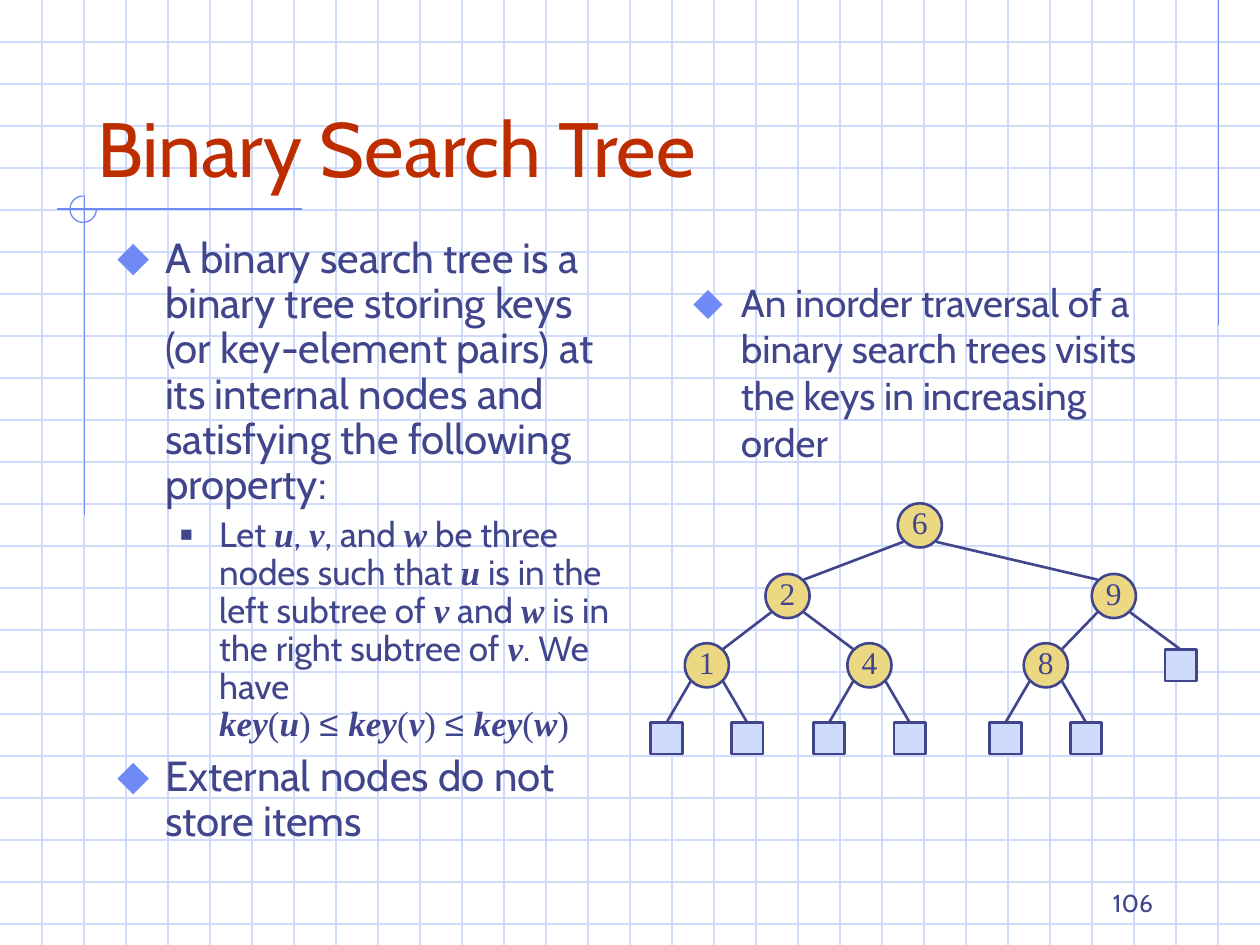
import pptx
import pptx.dml.color
import pptx.enum.shapes
import pptx.enum.text
import pptx.util
import lxml.etree
from pptx.util import Inches

HUES = {"grid": "CFDBFD", "rule": "6F89F7", "title": "BE2D00",
        "ink": "40458C", "node": "ECD882", "leaf": "CFDBFD"}
FACES = {"text": ("Cabin", False), "math": ("Times New Roman", True),
         "sign": ("Times New Roman", False), "less": ("Arial", False)}
LEVELS = [
    {"left": 0.38, "hang": 0.38, "mark": "⬥", "hue": "rule", "part": 110, "gap": 6},
    {"left": 0.81, "hang": 0.31, "mark": "■", "hue": "ink", "part": 60, "gap": 5},
]
SHAPE = pptx.enum.shapes.MSO_SHAPE
ANCHOR = pptx.enum.text.MSO_ANCHOR
ALIGN = pptx.enum.text.PP_ALIGN


class Deck:
    def __init__(self):
        self.file = pptx.Presentation()
        self.file.slide_width = Inches(10)
        self.file.slide_height = Inches(7.5)
        self.slide = self.file.slides.add_slide(self.file.slide_layouts[3])

    def hue(self, name):
        return pptx.dml.color.RGBColor.from_string(HUES[name])

    def line(self, x1, y1, x2, y2, hue, width=0.75):
        kind = pptx.enum.shapes.MSO_CONNECTOR.STRAIGHT
        line = self.slide.shapes.add_connector(
            kind, Inches(x1), Inches(y1), Inches(x2), Inches(y2))
        line.line.color.rgb = self.hue(hue)
        line.line.width = pptx.util.Pt(width)
        props = line._element.spPr
        lxml.etree.SubElement(props, pptx.oxml.ns.qn("a:effectLst"))
        return line

    def shape(self, kind, x, y, size, fill, edge, width):
        shape = self.slide.shapes.add_shape(
            kind, Inches(x - size / 2), Inches(y - size / 2), Inches(size), Inches(size))
        shape.shadow.inherit = False
        if fill:
            shape.fill.solid()
            shape.fill.fore_color.rgb = self.hue(fill)
        else:
            shape.fill.background()
        shape.line.color.rgb = self.hue(edge)
        shape.line.width = pptx.util.Pt(width)
        return shape

    def run(self, para, text, size, hue="ink", face="text"):
        run = para.add_run()
        run.text = text
        font = run.font
        font.name, strong = FACES[face]
        font.bold = font.italic = strong
        font.size = pptx.util.Pt(size)
        font.color.rgb = self.hue(hue)

    def place(self, index, x, y, wide, high):
        box = self.slide.placeholders[index]
        box.left, box.top = Inches(x), Inches(y)
        box.width, box.height = Inches(wide), Inches(high)
        box.text_frame.auto_size = pptx.enum.text.MSO_AUTO_SIZE.NONE
        box.element.getparent().append(box.element)
        return box.text_frame

    def title(self, text):
        frame = self.place(0, 0.67, 0.33, 8.5, 1.25)
        frame.vertical_anchor = ANCHOR.BOTTOM
        para = frame.paragraphs[0]
        para.alignment = ALIGN.LEFT
        self.run(para, text, 44, "title")

    def bullet(self, para, level):
        look = LEVELS[level]
        para.level = level
        props = para._p.get_or_add_pPr()
        props.set("marL", str(Inches(look["left"])))
        props.set("indent", str(-Inches(look["hang"])))
        tag = pptx.oxml.ns.qn
        color = lxml.etree.SubElement(props, tag("a:buClr"))
        lxml.etree.SubElement(color, tag("a:srgbClr"), val=HUES[look["hue"]])
        lxml.etree.SubElement(props, tag("a:buSzPct"), val=str(look["part"] * 1000))
        lxml.etree.SubElement(props, tag("a:buChar"), char=look["mark"])

    def list(self, index, area, items, space):
        frame = self.place(index, *area)
        for order, (level, size, parts) in enumerate(items):
            para = frame.add_paragraph() if order else frame.paragraphs[0]
            self.bullet(para, level)
            para.line_spacing = space
            para.space_before = pptx.util.Pt(LEVELS[level]["gap"] if order else 0)
            for face, text in parts:
                if face == "break":
                    para.add_line_break()
                else:
                    self.run(para, text, size, face=face)

    def number(self, text):
        box = self.slide.shapes.add_textbox(
            Inches(7.17), Inches(6.83), Inches(2.08), Inches(0.5))
        frame = box.text_frame
        frame.word_wrap = True
        frame.vertical_anchor = ANCHOR.BOTTOM
        frame.paragraphs[0].alignment = ALIGN.RIGHT
        self.run(frame.paragraphs[0], text, 14)

    def node(self, label, x, y):
        shape = self.shape(SHAPE.OVAL, x, y, 0.35, "node", "ink", 1.5)
        frame = shape.text_frame
        frame.word_wrap = False
        frame.margin_left = frame.margin_right = frame.margin_top = 0
        frame.margin_bottom = Inches(0.05)
        frame.vertical_anchor = ANCHOR.MIDDLE
        frame.paragraphs[0].alignment = ALIGN.CENTER
        self.run(frame.paragraphs[0], label, 18, face="sign")

    def tree(self, label, x, y, kids):
        self.node(label, x, y)
        slant = 0.13
        for side, kid in zip((-1, 1), kids):
            name, across, down, below = kid
            start = (x + side * slant, y + slant)
            if name:
                self.line(*start, across - side * slant, down - slant, "ink", 1.5)
                self.tree(*kid)
            else:
                leaf = self.shape(SHAPE.RECTANGLE, across, down, 0.25, "leaf", "ink", 1.5)
                edge = self.line(*start, across, down - 0.13, "ink", 1.5)
                edge.end_connect(leaf, 0)

    def grid(self):
        step = 1 / 3
        for row in range(1, 23):
            self.line(0, row * step, 10, row * step, "grid")
        for col in range(1, 30):
            self.line(col * step, 0, col * step, 7.5, "grid")

    def trim(self):
        self.line(9.67, 0, 9.67, 2.58, "rule")
        self.line(2.4, 1.66, 0.45, 1.66, "rule")
        self.line(0.67, 1.55, 0.67, 4.09, "rule")
        arc = self.shape(SHAPE.ARC, 0.66, 1.66, 0.21, None, "rule", 0.75)
        arc.adjustments[0] = 0
        arc.adjustments[1] = 270 * 0.6


def leaf(x, y):
    return "", x, y, ()


def twig(label, x):
    return label, x, 5.28, (leaf(x - 0.32, 5.86), leaf(x + 0.32, 5.86))


def main():
    deck = Deck()
    deck.grid()
    deck.trim()
    deck.title("Binary Search Tree")

    rule = [("text", "Let "), ("math", "u"), ("text", ", "), ("math", "v"),
            ("text", ", and "), ("math", "w"),
            ("text", " be three nodes such that "), ("math", "u"),
            ("text", " is in the left subtree of "), ("math", "v"),
            ("text", " and "), ("math", "w"),
            ("text", " is in the right subtree of "), ("math", "v"),
            ("text", ". We have "), ("break", "")]
    for name in "uvw":
        if name != "u":
            rule += [("sign", " "), ("less", "≤ ")]
        rule += [("math", "key"), ("sign", "("), ("math", name), ("sign", ")")]

    deck.list(1, (0.83, 1.83, 4.17, 5), [
        (0, 24, [("text", "A binary search tree is a binary tree storing keys "
                  "(or key-element pairs) at its internal nodes and "
                  "satisfying the following property:")]),
        (1, 20, rule),
        (0, 24, [("text", "External nodes do not store items")]),
    ], 0.9)
    deck.list(2, (5.4, 2.16, 3.94, 1.59), [
        (0, 22.2, [("text", "An inorder traversal of a binary search trees "
                    "visits the keys in increasing order")]),
    ], 1.0)

    two = ("2", 6.25, 4.73, (twig("1", 5.61), twig("4", 6.9)))
    nine = ("9", 8.84, 4.73, (twig("8", 8.3), leaf(9.37, 5.28)))
    deck.tree("6", 7.3, 4.17, (two, nine))
    deck.number("106")
    deck.file.save("out.pptx")


if __name__ == "__main__":
    main()
